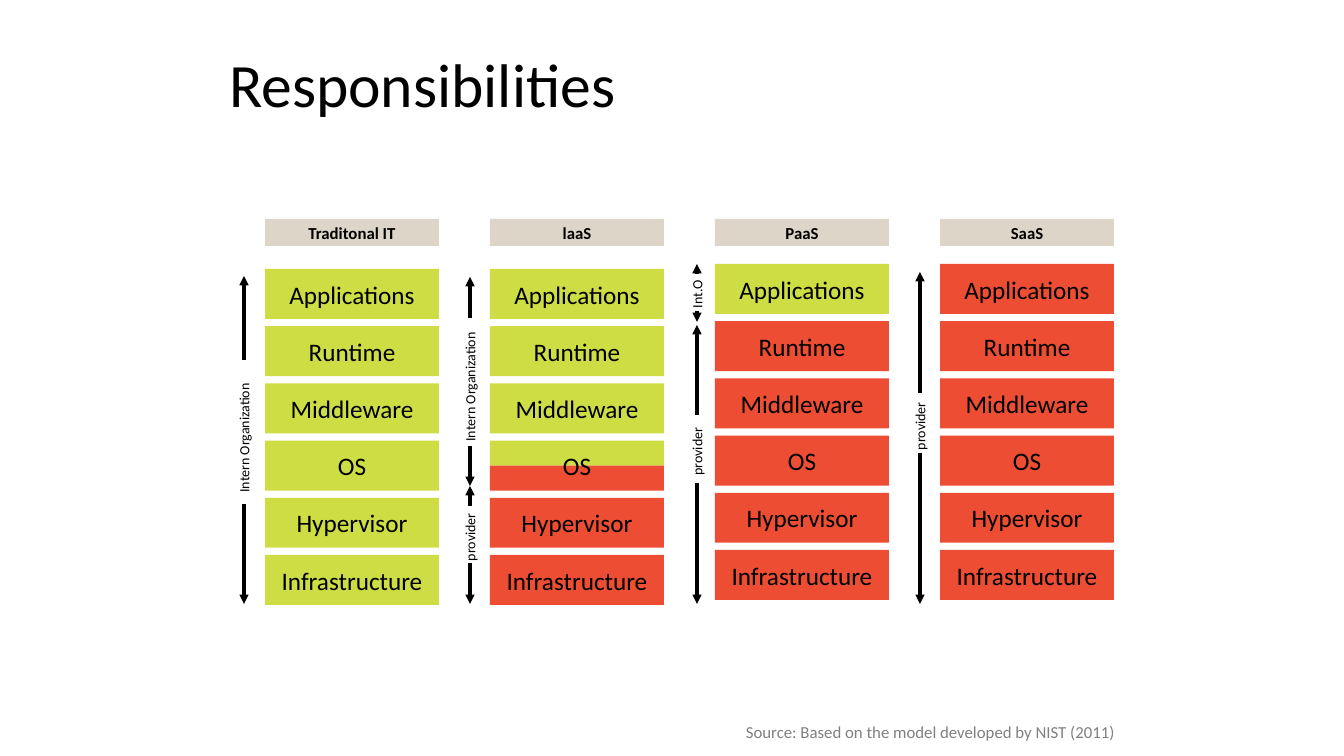
import lxml.etree
import pptx
import pptx.dml.color
import pptx.enum.shapes
import pptx.enum.text
import pptx.oxml.ns
import pptx.util

SCALE = 914400 / 100.8
ALIGN = pptx.enum.text.PP_ALIGN
ANCHOR = pptx.enum.text.MSO_ANCHOR
BLACK, GREY = "000000", "808080"
HEADER, INTERN, PROVIDER = "DDD5C7", "CFDD45", "ED4E33"
LAYERS = ["Applications", "Runtime", "Middleware", "OS", "Hypervisor", "Infrastructure"]
COLUMN_LEFT, COLUMN_STEP, COLUMN_WIDTH = 265, 225, 174
STACK_SPAN, BLOCK_HEIGHT = 286, 50
LABEL_HEIGHT = 27

# Model name, top of the stack, layers run by the organization (3.5 splits the OS).
MODELS = [("Traditonal IT", 269, 6), ("laaS", 269, 3.5), ("PaaS", 264, 1), ("SaaS", 264, 0)]

# Axis, outer and inner ends of the upper and lower arrow, label, its middle and length.
SPANS = [
    (244, 276, 360, 504, 604, "Intern Organization", 431, 143),
    (470, 277, 318, 446, 486, "Intern Organization", 380, 143),
    (470, 486, 506, 563, 604, "provider", 535, 72),
    (697, 264, 274, 311, 322, "Int.O", 292, 52),
    (697, 325, 415, 483, 604, "provider", 448, 75),
    (920, 272, 393, 453, 604, "provider", 424, 72),
]


def px(*lengths):
    """Turn pixel lengths into EMU."""
    return [pptx.util.Emu(round(length * SCALE)) for length in lengths]


def rgb(colour):
    """Turn a hex string into a colour."""
    return pptx.dml.color.RGBColor.from_string(colour)


def write(frame, wording, size, colour=BLACK, align=ALIGN.LEFT, anchor=ANCHOR.TOP,
          bold=False, wrap=True):
    """Put one formatted run into a text frame."""
    frame.word_wrap = wrap
    frame.vertical_anchor = anchor
    paragraph = frame.paragraphs[0]
    paragraph.alignment = align
    run = paragraph.add_run()
    run.text = wording
    run.font.name = "Calibri"
    run.font.size = pptx.util.Pt(size)
    run.font.bold = bold
    run.font.color.rgb = rgb(colour)
    return paragraph


def add_label(slide, box, wording, size, **style):
    """Add a text box and return it."""
    label = slide.shapes.add_textbox(*px(*box))
    write(label.text_frame, wording, size, **style)
    return label


def add_block(slide, box, fill, wording="", size=18, bold=False):
    """Add a filled rectangle with optional centred wording."""
    block = slide.shapes.add_shape(pptx.enum.shapes.MSO_SHAPE.RECTANGLE, *px(*box))
    block.shadow.inherit = False
    block.fill.solid()
    block.fill.fore_color.rgb = rgb(fill)
    block.line.fill.background()
    if wording:
        write(block.text_frame, wording, size, align=ALIGN.CENTER,
              anchor=ANCHOR.MIDDLE, bold=bold)


def add_arrow(slide, axis, top, bottom, tip):
    """Add a vertical line with a triangle at its headEnd or tailEnd."""
    arrow = slide.shapes.add_connector(
        pptx.enum.shapes.MSO_CONNECTOR.STRAIGHT, *px(axis, top, axis, bottom))
    arrow.line.color.rgb = rgb(BLACK)
    arrow.line.width = pptx.util.Pt(2.25)
    qn = pptx.oxml.ns.qn
    properties = arrow.element.spPr
    lxml.etree.SubElement(properties.find(qn("a:ln")), qn("a:" + tip), type="triangle")
    lxml.etree.SubElement(properties, qn("a:effectLst"))


def add_model(slide, left, name, top, own_layers):
    """Add a header and its stack of layers, coloured by who is responsible."""
    add_block(slide, (left, 219, COLUMN_WIDTH, 27), HEADER, name, 12, True)
    for row, layer in enumerate(LAYERS):
        y = top + row * STACK_SPAN / (len(LAYERS) - 1)
        box = (left, y, COLUMN_WIDTH, BLOCK_HEIGHT)
        if row < own_layers < row + 1:
            half = BLOCK_HEIGHT / 2
            add_block(slide, (left, y, COLUMN_WIDTH, half), INTERN)
            add_block(slide, (left, y + half, COLUMN_WIDTH, half), PROVIDER)
            add_label(slide, box, layer, 18, align=ALIGN.CENTER, anchor=ANCHOR.MIDDLE)
        else:
            add_block(slide, box, INTERN if row < own_layers else PROVIDER, layer)


def add_span(slide, axis, top, upper_end, lower_start, bottom, party, middle, length):
    """Add a pair of arrows around an upright label."""
    add_arrow(slide, axis, top, upper_end, "headEnd")
    add_arrow(slide, axis, lower_start, bottom, "tailEnd")
    box = (axis - length / 2, middle - LABEL_HEIGHT / 2, length, LABEL_HEIGHT)
    add_label(slide, box, party, 10, wrap=False).rotation = 270


def add_title(slide, wording):
    """Place and fill the title placeholder."""
    title = slide.shapes.title
    title.left, title.top, title.width, title.height = px(219, 25, 907, 126)
    write(title.text_frame, wording, 44, anchor=ANCHOR.MIDDLE).line_spacing = 0.9


def main():
    """Build the slide and save it."""
    deck = pptx.Presentation()
    deck.slide_width, deck.slide_height = px(1344, 756)
    slide = deck.slides.add_slide(deck.slide_layouts[5])
    add_title(slide, "Responsibilities")
    add_label(slide, (691, 717, 434, 30), "Source: Based on the model developed by NIST (2011)",
              12, colour=GREY, align=ALIGN.RIGHT, anchor=ANCHOR.BOTTOM, wrap=False)
    for column, model in enumerate(MODELS):
        add_model(slide, COLUMN_LEFT + column * COLUMN_STEP, *model)
    for span in SPANS:
        add_span(slide, *span)
    deck.save("out.pptx")


main()
